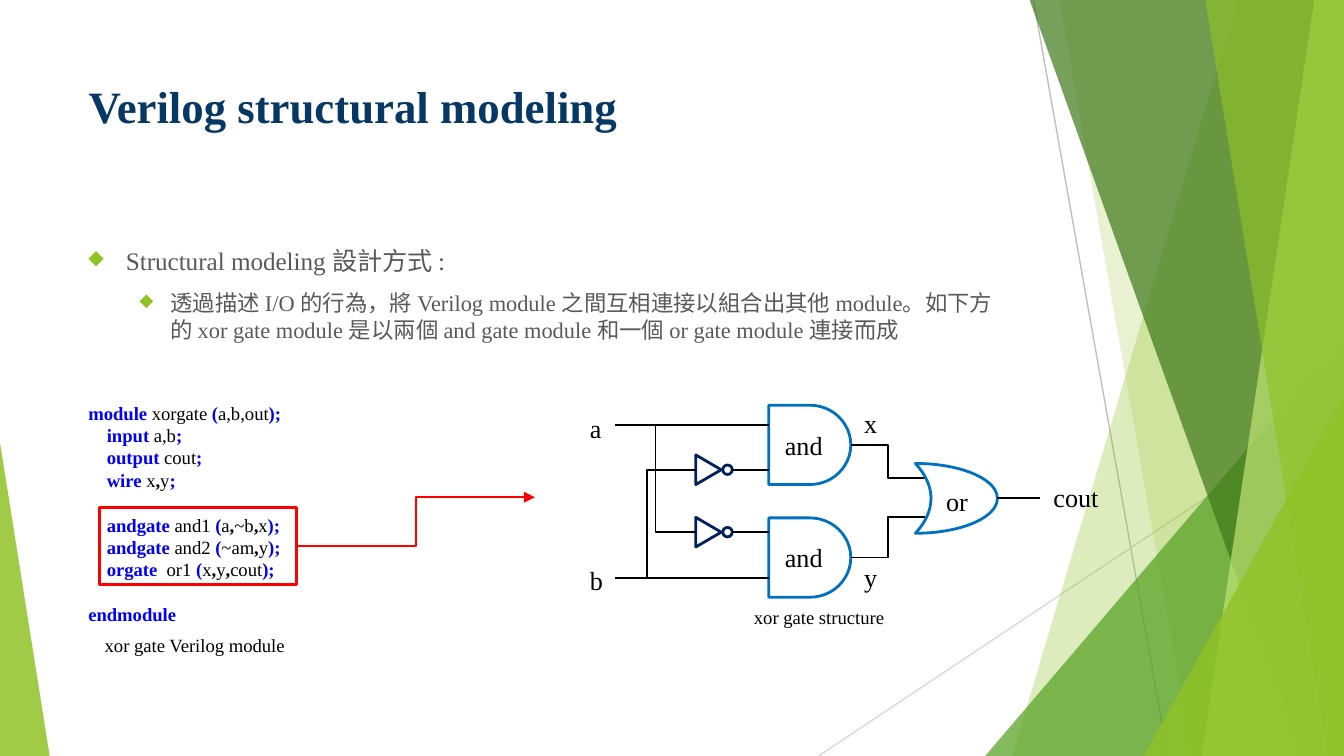
from dataclasses import dataclass
from typing import Optional

from lxml.etree import SubElement
from pptx import Presentation
from pptx.dml.color import RGBColor
from pptx.enum.shapes import MSO_CONNECTOR, MSO_SHAPE
from pptx.enum.text import MSO_ANCHOR, PP_ALIGN
from pptx.oxml.ns import qn
from pptx.util import Cm, Pt


@dataclass(frozen=True)
class Theme:
    font: str = "Times New Roman"
    title: str = "073763"
    body: str = "595959"
    ink: str = "000000"
    key: str = "0000FF"
    gate: str = "0070C0"
    navy: str = "002060"
    red: str = "FF0000"
    lime: str = "90C226"
    green: str = "54A021"
    dark: str = "3F7819"
    pale: str = "C0E474"
    head: float = 24
    lead: float = 13.5
    sub: float = 12
    label: float = 14
    code: float = 10


@dataclass(frozen=True)
class Facet:
    """Band from the top edge to the foot, filled to the right edge."""
    top: float
    foot: float
    color: str
    alpha: int


@dataclass(frozen=True)
class Wedge:
    """Right triangle standing on the bottom edge."""
    left: float
    top: float
    width: float
    peak: float
    color: str
    alpha: int


@dataclass(frozen=True)
class Label:
    text: str
    left: float
    top: float
    width: float
    size: float
    pad: float = 0.13


@dataclass(frozen=True)
class Wire:
    start: tuple[float, float]
    end: tuple[float, float]
    bend: Optional[float] = None
    color: str = Theme.ink
    width: float = 1


@dataclass(frozen=True)
class Line:
    """Code line; ports are joined by bold commas."""
    word: str
    name: str = ""
    ports: tuple[str, ...] = ()
    tab: float = 0.35
    gap: float = 0


T = Theme()
WIDE, HIGH = 25.4, 14.29
deck = Presentation()
deck.slide_width, deck.slide_height = Cm(WIDE), Cm(HIGH)
slide = deck.slides.add_slide(deck.slide_layouts[5])
shapes = slide.shapes


def add_run(para, text: str, size: float, color: str, bold: bool = False) -> None:
    run = para.add_run()
    run.text = text
    run.font.name, run.font.size, run.font.bold = T.font, Pt(size), bold
    run.font.color.rgb = RGBColor.from_string(color)


def add_text(left: float, top: float, width: float, height: float, pad: float, wrap: bool):
    frame = shapes.add_textbox(Cm(left), Cm(top), Cm(width), Cm(height)).text_frame
    frame.word_wrap = wrap
    frame.margin_top = frame.margin_bottom = Cm(pad)
    return frame


def add_label(item: Label) -> None:
    frame = add_text(item.left, item.top, item.width, 0.86, item.pad, False)
    add_run(frame.paragraphs[0], item.text, item.size, T.ink)


def tint(shape, color: str, alpha: int) -> None:
    shape.shadow.inherit = False
    shape.line.fill.background()
    shape.fill.solid()
    shape.fill.fore_color.rgb = RGBColor.from_string(color)
    tone = shape.element.spPr.find(qn("a:solidFill"))[0]
    SubElement(tone, qn("a:alpha"), val=str(alpha * 1000))


def add_facet(item: Facet) -> None:
    pen = shapes.build_freeform(Cm(item.top), 0)
    pen.add_line_segments([(Cm(WIDE), 0), (Cm(WIDE), Cm(HIGH)), (Cm(item.foot), Cm(HIGH))])
    tint(pen.convert_to_shape(), item.color, item.alpha)


def add_wedge(item: Wedge) -> None:
    shape = shapes.add_shape(MSO_SHAPE.ISOSCELES_TRIANGLE, Cm(item.left), Cm(item.top),
                             Cm(item.width), Cm(HIGH - item.top))
    shape.adjustments[0] = item.peak
    tint(shape, item.color, item.alpha)


def outline(kind: MSO_SHAPE, left: float, top: float, width: float, height: float,
            color: str, turn: float = 0):
    shape = shapes.add_shape(kind, Cm(left), Cm(top), Cm(width), Cm(height))
    shape.shadow.inherit = False
    shape.fill.background()
    shape.line.color.rgb = RGBColor.from_string(color)
    shape.line.width = Pt(1.5)
    shape.rotation = turn
    return shape


def add_wire(item: Wire):
    kind = MSO_CONNECTOR.STRAIGHT if item.bend is None else MSO_CONNECTOR.ELBOW
    wire = shapes.add_connector(kind, *(Cm(v) for v in item.start + item.end))
    wire.line.color.rgb = RGBColor.from_string(item.color)
    wire.line.width = Pt(item.width)
    props = wire.element.spPr
    SubElement(props, qn("a:effectLst"))
    if item.bend is not None:
        guides = props.find(qn("a:prstGeom")).find(qn("a:avLst"))
        SubElement(guides, qn("a:gd"), name="adj1", fmla=f"val {round(item.bend * 100000)}")
    return wire


def indent(para, left: float, hang: float = 0):
    props = para._p.get_or_add_pPr()
    props.set("marL", str(Cm(left)))
    props.set("indent", str(Cm(-hang)))
    return props


def add_point(para, text: str, size: float, left: float, hang: float) -> None:
    para.space_before = Pt(7.5)
    props = indent(para, left, hang)
    SubElement(SubElement(props, qn("a:buClr")), qn("a:srgbClr"), val=T.lime)
    SubElement(props, qn("a:buSzPct"), val="80000")
    SubElement(props, qn("a:buChar"), char="◆")
    add_run(para, text, size, T.body)


def add_code(para, item: Line) -> None:
    para.line_spacing = Pt(12)
    para.space_before = Pt(item.gap)
    indent(para, item.tab)
    add_run(para, item.word + (" " if item.ports else ""), T.code, T.key, True)
    if item.name:
        add_run(para, item.name, T.code, T.ink)
        add_run(para, " (", T.code, T.key, True)
    for spot, port in enumerate(item.ports):
        if spot:
            add_run(para, ",", T.code, T.ink, True)
        add_run(para, port, T.code, T.ink)
    if item.ports:
        add_run(para, ");" if item.name else ";", T.code, T.key, True)


# Backdrop
add_wire(Wire((19.53, 0), (22.07, HIGH), color="BFBFBF", width=0.75))
add_wire(Wire((WIDE, 7.67), (15.47, HIGH), color="D9D9D9", width=0.75))
for part in (
    Facet(23.39, 19.13, T.lime, 30), Facet(20.02, 22.53, T.lime, 20),
    Wedge(18.62, 6.35, 6.78, 1, T.green, 72),
    Facet(19.46, 24.59, T.dark, 70), Facet(24.84, 22.71, T.pale, 70),
    Facet(22.78, 25.1, T.lime, 65),
    Wedge(21.62, 7.47, 3.78, 1, T.lime, 80), Wedge(0, 8.36, 0.94, 0, T.lime, 85),
):
    add_facet(part) if isinstance(part, Facet) else add_wedge(part)

# Title, lifted above the backdrop
title = shapes.title
title.element.getparent().append(title.element)
title.left, title.top, title.width, title.height = Cm(1.42), Cm(1.27), Cm(17.91), Cm(2.74)
title.text_frame.vertical_anchor = MSO_ANCHOR.TOP
title.text_frame.margin_top = Cm(0.22)
title.text_frame.paragraphs[0].alignment = PP_ALIGN.LEFT
add_run(title.text_frame.paragraphs[0], "Verilog structural modeling", T.head, T.title, True)

# Bullet points
body = add_text(1.42, 4.5, 17.91, 2.6, 0.13, True)
add_point(body.paragraphs[0], "Structural modeling 設計方式 :", T.lead, 0.71, 0.71)
add_point(body.add_paragraph(),
          "透過描述 I/O 的行為，將 Verilog module 之間互相連接以組合出其他 module。如下方的 "
          "xor gate module 是以兩個 and gate module 和一個 or gate module 連接而成",
          T.sub, 1.55, 0.58)

# Code listing
code = add_text(1.42, 7.34, 7.9, 4.19, 0.25, True)
for spot, line in enumerate((
    Line("module", "xorgate", ("a,b,out",), tab=0),
    Line("input", ports=("a,b",)), Line("output", ports=("cout",)),
    Line("wire", ports=("x", "y")),
    Line("andgate", "and1", ("a", "~b", "x"), gap=12),
    Line("andgate", "and2", ("~am", "y")),
    Line("orgate ", "or1", ("x", "y", "cout")),
    Line("endmodule", tab=0, gap=12),
)):
    add_code(code.add_paragraph() if spot else code.paragraphs[0], line)
box = outline(MSO_SHAPE.RECTANGLE, 1.88, 9.6, 3.73, 1.45, T.red)

# Gates, each with its output wire to the or gate
for mid, goal in ((8.41, 9.03), (10.54, 9.78)):
    gate = outline(MSO_SHAPE.FLOWCHART_DELAY, 14.53, mid - 0.75, 1.55, 1.5, T.gate)
    gate.text_frame.word_wrap = False
    gate.text_frame.vertical_anchor = MSO_ANCHOR.MIDDLE
    gate.text_frame.paragraphs[0].alignment = PP_ALIGN.CENTER
    add_run(gate.text_frame.paragraphs[0], "and", T.label, T.ink)
    add_wire(Wire((16.08, mid), (17.48, goal), 0.5)).begin_connect(gate, 3)
moon = outline(MSO_SHAPE.MOON, 17.3, 8.76, 1.55, 1.32, T.gate, 180)
moon.adjustments[0] = 0.81

# Inverters
for mid in (8.88, 10.06):
    outline(MSO_SHAPE.ISOSCELES_TRIANGLE, 13.11, mid - 0.24, 0.56, 0.48, T.navy, 90)
    outline(MSO_SHAPE.OVAL, 13.66, mid - 0.09, 0.18, 0.18, T.navy)
    add_wire(Wire((13.84, mid), (14.53, mid)))

# Input and output wires
for wire in (
    Wire((11.63, 8.03), (14.53, 8.03)), Wire((11.63, 10.92), (14.53, 10.92)),
    Wire((11.63, 8.03), (13.15, 10.06), 0.5), Wire((11.63, 10.92), (13.15, 8.88), 0.39),
    Wire((18.85, 9.41), (19.66, 9.41)),
):
    add_wire(wire)

# Labels and captions
for label in (
    Label("or", 17.63, 9.04, 0.97, T.label), Label("cout", 19.66, 8.97, 1.37, T.label),
    Label("x", 16.08, 7.57, 0.76, T.label), Label("y", 16.08, 10.49, 0.76, T.label),
    Label("a", 10.9, 7.67, 0.74, T.label), Label("b", 10.9, 10.54, 0.76, T.label),
    Label("xor gate structure", 14, 11.23, 3.02, T.code, 0.25),
    Label("xor gate Verilog module", 1.73, 11.76, 4.06, T.code, 0.25),
):
    add_label(label)

# Arrow from code to circuit
arrow = add_wire(Wire((5.61, 10.33), (10.11, 9.4), 0.5, T.red))
arrow.begin_connect(box, 3)
SubElement(arrow.line._get_or_add_ln(), qn("a:tailEnd"), type="triangle")

deck.save("out.pptx")
